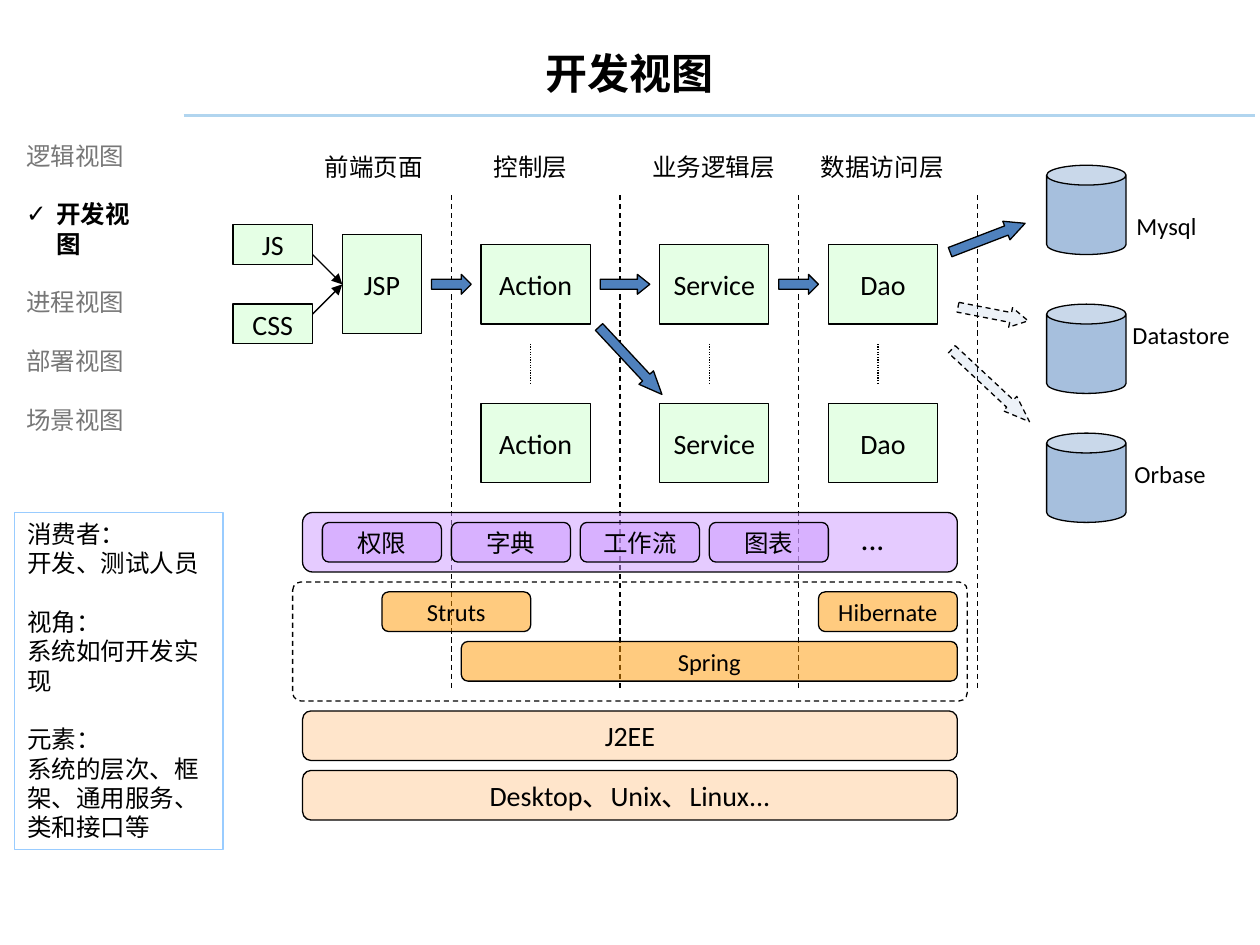
"""Build the development view slide: layers, frameworks, platform and databases."""
import pptx
import pptx.util
import pptx.dml.color
import pptx.enum.dml
import pptx.enum.shapes
import pptx.enum.text
import pptx.oxml.ns
from lxml import etree

KIND = pptx.enum.shapes.MSO_SHAPE
DASH = pptx.enum.dml.MSO_LINE.DASH
DOT = pptx.enum.dml.MSO_LINE.ROUND_DOT
CENTER = pptx.enum.text.PP_ALIGN.CENTER
LEFT = pptx.enum.text.PP_ALIGN.LEFT
MIDDLE = pptx.enum.text.MSO_ANCHOR.MIDDLE
TOP = pptx.enum.text.MSO_ANCHOR.TOP
BLACK, GREY, SKY, PALE_SKY = "000000", "777777", "99CCFF", "B1D5EF"
GREEN, ORANGE, PURPLE, PEACH, BLUE = "CCFFCC", "FF9900", "CC99FF", "FFCC99", "4F81BD"
rgb = pptx.dml.color.RGBColor.from_string
qn = pptx.oxml.ns.qn

presentation = pptx.Presentation()
presentation.slide_width = pptx.util.Inches(10)
presentation.slide_height = pptx.util.Inches(7.5)
slide = presentation.slides.add_slide(presentation.slide_layouts[6])
cell = presentation.slide_width / 127
left_margin, top_margin = 0.5 * cell, 0.66 * cell


def paint(item, fill=None, opacity=100, line=BLACK, width=0.75, dash=None):
    """Set the fill and outline of a shape or connector and remove its shadow."""
    properties = item._element.spPr
    if fill:
        item.fill.solid()
        item.fill.fore_color.rgb = rgb(fill)
        color = properties.find(qn("a:solidFill"))[0]
        etree.SubElement(color, qn("a:alpha"), val=str(opacity * 1000))
    elif hasattr(item, "fill"):
        item.fill.background()
    item.line.color.rgb = rgb(line)
    item.line.width = pptx.util.Pt(width)
    item.line.dash_style = dash
    etree.SubElement(properties, qn("a:effectLst"))


def write(paragraph, text, size, color=BLACK, bold=False, align=LEFT):
    """Add one run of text to a paragraph."""
    paragraph.alignment = align
    run = paragraph.add_run()
    run.text = text
    run.font.name = "Calibri"
    run.font.size = pptx.util.Pt(size)
    run.font.bold = bold
    run.font.color.rgb = rgb(color)


layer_borders = (45, 62, 80, 98)
layer_centers = (53, 71, 88)
title_rule = (18, 11, 126, 11, PALE_SKY, 2, None, False)
connectors = [title_rule]
connectors += [(column, 19, column, 69, BLACK, 0.75, DASH, False) for column in layer_borders]
connectors += [(column, 34, column, 38, BLACK, 0.75, DOT, False) for column in layer_centers]
connectors += [(31, row, 34, 28, BLACK, 0.75, None, True) for row in (25, 31)]
for start_column, start_row, end_column, end_row, color, width, dash, has_head in connectors:
    connector = slide.shapes.add_connector(
        pptx.enum.shapes.MSO_CONNECTOR.STRAIGHT,
        int(left_margin + start_column * cell), int(top_margin + start_row * cell),
        int(left_margin + end_column * cell), int(top_margin + end_row * cell))
    paint(connector, line=color, width=width, dash=dash)
    if has_head:
        outline = connector._element.spPr.find(qn("a:ln"))
        etree.SubElement(outline, qn("a:tailEnd"), type="triangle")

databases = [("", KIND.CAN, 105, row, 8, 9, BLUE, 16) for row in (16, 30, 43)]
pages = [
    ("JSP", KIND.RECTANGLE, 34, 23, 8, 10, GREEN, 16),
    ("JS", KIND.RECTANGLE, 23, 22, 8, 4, GREEN, 16),
    ("CSS", KIND.RECTANGLE, 23, 30, 8, 4, GREEN, 16),
]
classes = [
    (name, KIND.RECTANGLE, column, row, 11, 8, GREEN, 16)
    for name, column in (("Action", 48), ("Service", 66), ("Dao", 83))
    for row in (24, 40)
]
frameworks = [
    ("Struts", KIND.ROUNDED_RECTANGLE, 38, 59, 15, 4, ORANGE, 14),
    ("Spring", KIND.ROUNDED_RECTANGLE, 46, 64, 50, 4, ORANGE, 14),
    ("Hibernate", KIND.ROUNDED_RECTANGLE, 82, 59, 14, 4, ORANGE, 14),
    ("", KIND.ROUNDED_RECTANGLE, 29, 58, 68, 12, None, 14),
]
services = [("", KIND.ROUNDED_RECTANGLE, 30, 51, 66, 6, PURPLE, 14)]
services += [
    (name, KIND.ROUNDED_RECTANGLE, 32 + 13 * index, 52, 12, 4, PURPLE, 14)
    for index, name in enumerate(("权限", "字典", "工作流", "图表"))
]
platforms = [
    (name, KIND.ROUNDED_RECTANGLE, 30, row, 66, 5, PEACH, 16)
    for name, row in (("J2EE", 71), ("Desktop、Unix、Linux...", 77))
]
blocks = databases + pages + classes + frameworks + services + platforms
for text, kind, column, row, columns, rows, fill, size in blocks:
    shape = slide.shapes.add_shape(
        kind, int(left_margin + column * cell), int(top_margin + row * cell),
        int(columns * cell), int(rows * cell))
    paint(shape, fill, 50, dash=None if fill else DASH)
    if kind == KIND.ROUNDED_RECTANGLE:
        shape.adjustments[0] = 0.17 if fill else 0.07
    if text:
        shape.text_frame.word_wrap = False
        shape.text_frame.vertical_anchor = MIDDLE
        write(shape.text_frame.paragraphs[0], text, size, align=CENTER)

calls = [
    (43, 27, 4, 0, 100, None), (60, 27, 5, 0, 100, None), (78, 27, 4, 0, 100, None),
    (58.4, 34.7, 9.3, 47, 100, None), (95, 22.3, 8.1, 339, 100, None),
]
optional_calls = [(96, 30, 7.2, 11, 10, DASH), (94, 37.2, 10.7, 43, 10, DASH)]
for column, row, length, angle, opacity, dash in calls + optional_calls:
    arrow = slide.shapes.add_shape(
        KIND.RIGHT_ARROW, int(left_margin + column * cell), int(top_margin + row * cell),
        int(length * cell), int(2 * cell))
    arrow.rotation = angle
    arrow.adjustments[1] = length / 8
    paint(arrow, BLUE, opacity, dash=dash)

labels = [
    ("前端页面", 31, 14, 12.5, 14), ("控制层", 48, 14, 10, 14),
    ("业务逻辑层", 64, 14, 15, 14), ("数据访问层", 81, 14, 15, 14),
    ("Mysql", 112.8, 20, 9.3, 14), ("Datastore", 112.4, 31, 13.3, 14),
    ("Orbase", 112.6, 45, 10, 14), ("...", 85, 51, 5.5, 18),
]
for text, column, row, columns, size in labels:
    label = slide.shapes.add_textbox(
        int(left_margin + column * cell), int(top_margin + row * cell),
        int(columns * cell), int(4.3 * cell))
    label.text_frame.word_wrap = False
    write(label.text_frame.paragraphs[0], text, size)

current_view = "开发视图"
gap = 16.7
title = [(current_view, 24, BLACK, True, CENTER, 0, False)]
menu = [
    (view, 14, BLACK if view == current_view else GREY, view == current_view,
     LEFT, gap if index else 0, view == current_view)
    for index, view in enumerate(("逻辑视图", current_view, "进程视图", "部署视图", "场景视图"))
]
notes = []
for heading, body in (("消费者：", "开发、测试人员"), ("视角：", "系统如何开发实现"),
                      ("元素：", "系统的层次、框架、通用服务、类和接口等")):
    notes.append((heading, 14, BLACK, False, LEFT, gap if notes else 0, False))
    notes.append((body, 14, BLACK, False, LEFT, 0, False))

panels = [
    (5.85, 2.5, 114.3, 8.4, title, MIDDLE, None),
    (0.9, 12.9, 14.5, 28, menu, TOP, None),
    (1, 51, 21, 34, notes, TOP, SKY),
]
for column, row, columns, rows, lines, anchor, border in panels:
    panel = slide.shapes.add_textbox(
        int(left_margin + column * cell), int(top_margin + row * cell),
        int(columns * cell), int(rows * cell))
    panel.text_frame.word_wrap = True
    panel.text_frame.vertical_anchor = anchor
    if border:
        paint(panel, line=border)
    for index, (text, size, color, bold, align, space, checked) in enumerate(lines):
        paragraph = panel.text_frame.add_paragraph() if index else panel.text_frame.paragraphs[0]
        paragraph.space_before = pptx.util.Pt(space)
        if checked:
            properties = paragraph._p.get_or_add_pPr()
            properties.set("marL", str(int(3 * cell)))
            properties.set("indent", str(int(-3 * cell)))
            etree.SubElement(properties, qn("a:buFont"), typeface="Calibri")
            etree.SubElement(properties, qn("a:buChar"), char="✓")
        write(paragraph, text, size, color, bold, align)

presentation.save("out.pptx")
